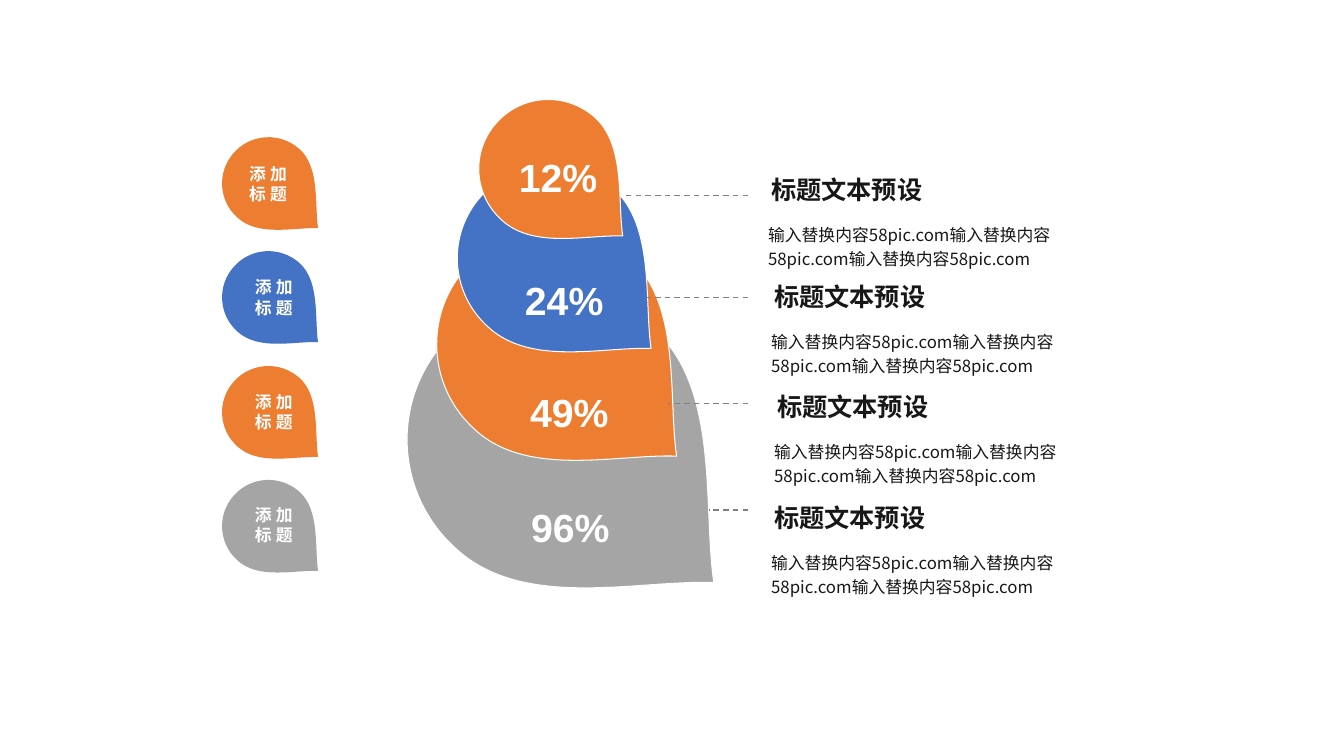
"""Build a slide of stacked percentage drops with badges and captions."""
from pptx import Presentation, util as u
from pptx.dml.color import RGBColor
from pptx.enum import dml, shapes, text
from pptx.oxml.ns import qn
from lxml import etree

PX = 9144
WHITE = RGBColor(0xFF, 0xFF, 0xFF)
INK = RGBColor(0x18, 0x17, 0x17)
ORANGE = RGBColor(0xED, 0x7D, 0x31)
BLUE = RGBColor(0x44, 0x72, 0xC4)
GRAY = RGBColor(0xA5, 0xA5, 0xA5)
RULE = RGBColor(0x80, 0x80, 0x80)
CJK = "Noto Sans CJK SC"

DROP_WIDTH = 326
DROP_START = (55, 65)
DROP_CURVES = [
    (0, 125), (5, 218), (66, 272),
    (133, 333), (247, 302), (321, 305),
    (310, 230), (327, 112), (262, 54),
    (201, 0), (109, 5), DROP_START,
]

BADGES = [
    (131, ORANGE, 223, 157, 86),
    (244, BLUE, 219, 270, 105),
    (358, ORANGE, 219, 384, 105),
    (471, GRAY, 219, 496, 105),
]
LOWER_DROPS = [
    ("96%", GRAY, 387, 273, 326, 513, 494),
    ("49%", ORANGE, 420, 214, 255, 512, 380),
    ("24%", BLUE, 443, 153, 206, 507, 269),
]
TOP_DROP = ("12%", ORANGE, 467, 91, 153, 501, 147)
LEADERS = [(617, 194), (641, 295), (663, 400), (703, 506)]
LEADER_END = 742
CAPTIONS = [(755, 168), (758, 274), (761, 383), (758, 493)]
HEADING = "标题文本预设"
BODY = "输入替换内容58pic.com" * 3


def bend_segments(shape):
    """Turn each three straight segments of an outline into one curve."""
    segments = list(shape._element.iter(qn("a:lnTo")))
    for first in range(0, len(segments), 3):
        curve = etree.Element(qn("a:cubicBezTo"))
        segments[first].addprevious(curve)
        for segment in segments[first:first + 3]:
            curve.append(segment[0])
            segment.getparent().remove(segment)


def add_drop(group, left, top, width, color, outlined=False):
    """Draw a filled drop in a frame of the given width."""
    scale = width / DROP_WIDTH
    start, *points = [(round((left + x * scale) * PX), round((top + y * scale) * PX))
                      for x, y in [DROP_START, *DROP_CURVES]]
    builder = group.shapes.build_freeform(*start)
    builder.add_line_segments(points, close=True)
    drop = builder.convert_to_shape()
    bend_segments(drop)
    drop.shadow.inherit = False
    drop.fill.solid()
    drop.fill.fore_color.rgb = color
    if outlined:
        drop.line.color.rgb = WHITE
        drop.line.width = u.Pt(0.75)
    else:
        drop.line.fill.background()


def add_text(parent, content, left, top, width, height, *, size, font=CJK, color=INK,
             bold=False, align=text.PP_ALIGN.LEFT, spread=0, leading=None,
             wrap=True, grow=False):
    """Add a text box with one paragraph per line of content."""
    box = parent.shapes.add_textbox(left * PX, top * PX, width * PX, height * PX)
    frame = box.text_frame
    frame.word_wrap = wrap
    frame.auto_size = text.MSO_AUTO_SIZE.SHAPE_TO_FIT_TEXT if grow else text.MSO_AUTO_SIZE.NONE
    frame.text = content
    for para in frame.paragraphs:
        para.alignment = align
        if leading:
            para.line_spacing = leading
        for span in para.runs:
            span.font.size = u.Pt(size)
            span.font.name = font
            span.font.bold = bold
            span.font.color.rgb = color
            props = span.font._element
            etree.SubElement(props, qn("a:ea")).set("typeface", font)
            if spread:
                props.set("spc", str(spread * 100))


def add_leader(page, left, top):
    """Draw a dashed line from the caption column to a drop."""
    line = page.shapes.add_connector(shapes.MSO_CONNECTOR.STRAIGHT,
                                     LEADER_END * PX, top * PX, left * PX, top * PX)
    line.line.color.rgb = RULE
    line.line.width = u.Pt(1)
    line.line.dash_style = dml.MSO_LINE.DASH
    etree.SubElement(line._element.spPr, qn("a:effectLst"))


def add_percent_drop(page, label, color, left, top, width, label_left, label_top):
    """Draw an outlined drop grouped with its percentage."""
    group = page.shapes.add_group_shape()
    add_drop(group, left, top, width, color, outlined=True)
    add_text(group, label, label_left, label_top, 105, 57, size=28, font="Arial",
             color=WHITE, bold=True, align=text.PP_ALIGN.CENTER, wrap=False, grow=True)


def add_badge(page, top, color, label_left, label_top, label_width):
    """Draw a small drop grouped with its two-line label."""
    group = page.shapes.add_group_shape()
    add_drop(group, 215, top, 102, color)
    add_text(group, "添加\n标题", label_left, label_top, label_width, 51, size=12,
             color=WHITE, bold=True, align=text.PP_ALIGN.CENTER, spread=3, grow=True)


def add_caption(page, left, top):
    """Add a heading with its body text below."""
    add_text(page, BODY, left - 3, top + 46, 362, 73, size=12, leading=1.2)
    add_text(page, HEADING, left, top, 287, 46, size=18, bold=True, wrap=False)


def main():
    """Build and save the deck."""
    deck = Presentation()
    deck.slide_width, deck.slide_height = 1333 * PX, 750 * PX
    page = deck.slides.add_slide(deck.slide_layouts[6])
    for badge in BADGES:
        add_badge(page, *badge)
    for drop in LOWER_DROPS:
        add_percent_drop(page, *drop)
    for leader in LEADERS:
        add_leader(page, *leader)
    add_percent_drop(page, *TOP_DROP)
    for caption in CAPTIONS:
        add_caption(page, *caption)
    deck.save("out.pptx")


if __name__ == "__main__":
    main()
